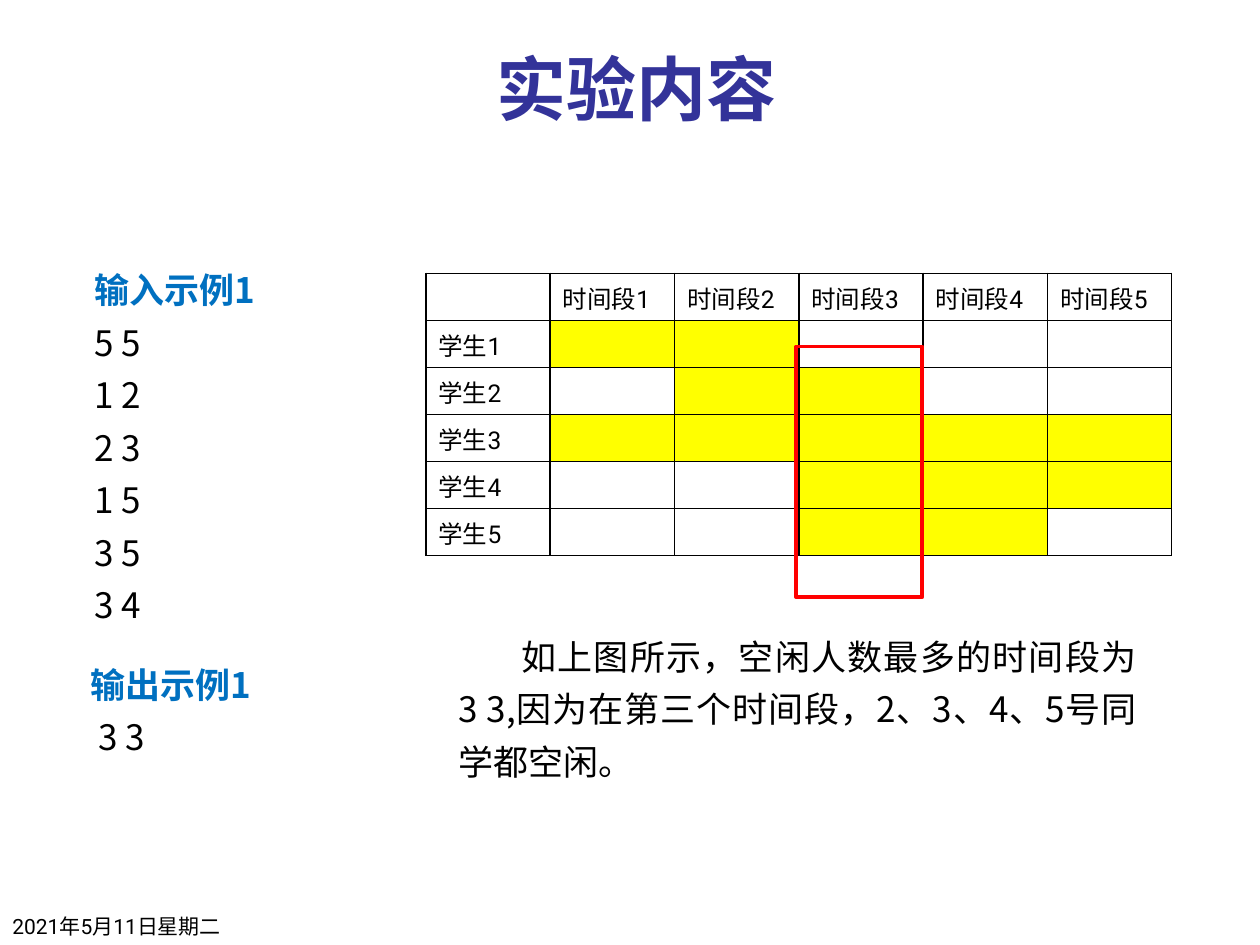
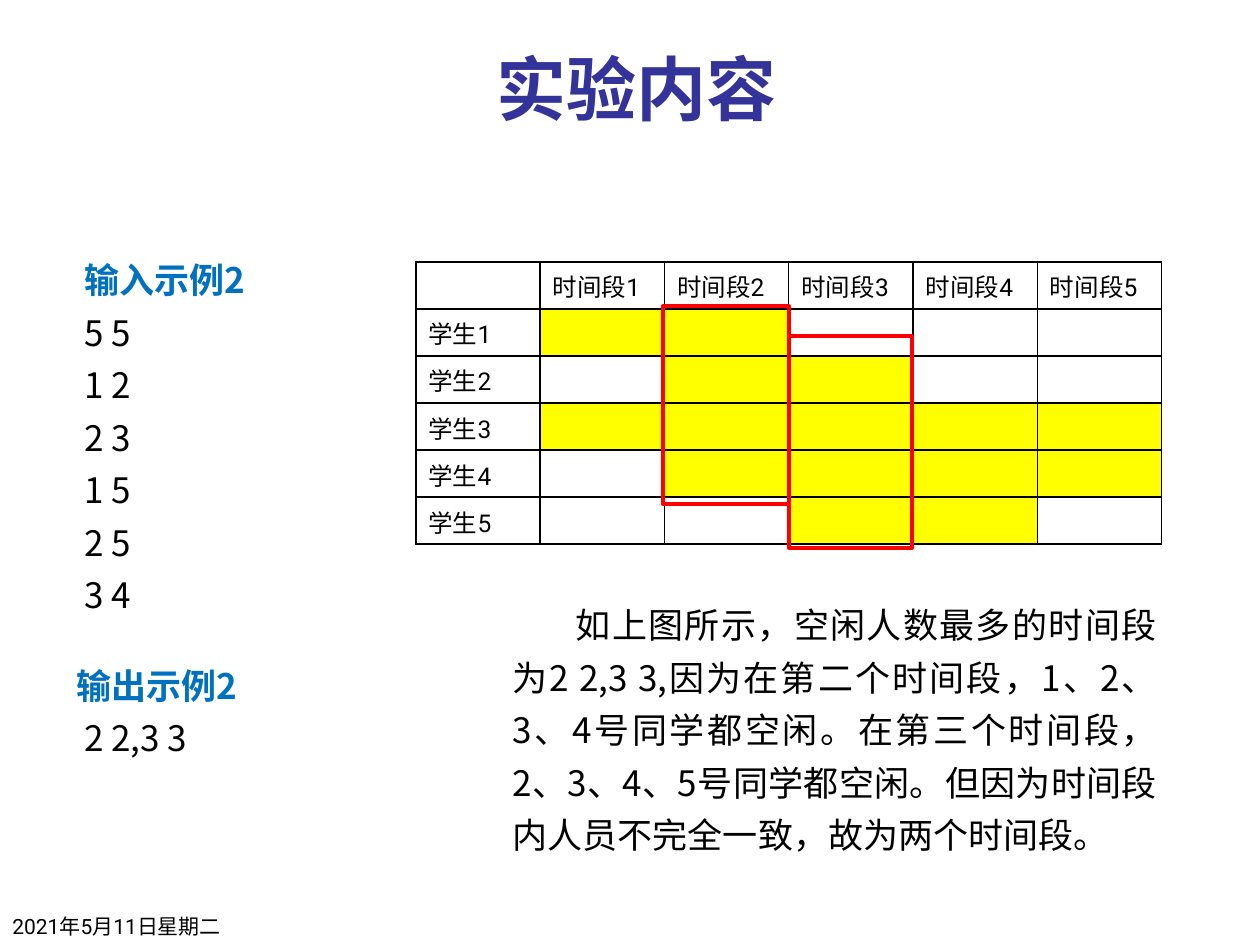
import pptx
import pptx.util
import pptx.dml.color
import pptx.enum.shapes
import pptx.enum.text
import pptx.oxml.ns
import lxml.etree

Inches, Pt = pptx.util.Inches, pptx.util.Pt
ALIGN = pptx.enum.text.PP_ALIGN
ANCHOR = pptx.enum.text.MSO_ANCHOR
qn = pptx.oxml.ns.qn

TITLE = "实验内容"
DATE = "2021年5月11日星期二"
SLOTS = 5
COLUMN, ROW = 5.92 / 6, 2.24 / 6
CJK_FONT, LATIN_FONT = "Noto Sans CJK SC", "Roboto"
BLACK, YELLOW, RED = "000000", "FFFF00", "FF0000"

TITLE_FORMAT = {"name": CJK_FONT, "size": Pt(40), "bold": True, "color": "333399"}
DATE_FORMAT = {"name": LATIN_FONT, "size": Pt(12), "color": BLACK}
CELL_FORMAT = {"name": LATIN_FONT, "size": Pt(14), "color": BLACK}
BODY_FORMAT = {"name": CJK_FONT, "size": Pt(20), "bold": False, "color": BLACK}
HEADING_FORMAT = BODY_FORMAT | {"bold": True, "color": "0070C0"}

# "free" holds the first and last free slot of each student.
# Every "at" is left, top, width, height in inches.
EXAMPLES = [
    {
        "number": 1,
        "free": [(1, 2), (2, 3), (1, 5), (3, 5), (3, 4)],
        "output": "3 3",
        "reason": "如上图所示，空闲人数最多的时间段为3 3,因为在第三个时间段，2、3、4、5号同学都空闲。",
        "input_at": (0.65, 2, 1.59, 3.01),
        "output_at": (0.62, 5.13, 1.61, 0.9),
        "table_at": (3.38, 2.17),
        "reason_at": (3.54, 4.91, 5.58, 1.32),
        "marks": [(6.32, 2.75, 1, 1.99)],
    },
    {
        "number": 2,
        "free": [(1, 2), (2, 3), (1, 5), (2, 5), (3, 4)],
        "output": "2 2,3 3",
        "reason": "如上图所示，空闲人数最多的时间段为2 2,3 3,因为在第二个时间段，1、2、3、4号同学都空闲。"
                  "在第三个时间段，2、3、4、5号同学都空闲。但因为时间段内人员不完全一致，故为两个时间段。",
        "input_at": (0.57, 1.92, 1.56, 3.01),
        "output_at": (0.51, 5.14, 1.62, 0.9),
        "table_at": (3.3, 2.08),
        "reason_at": (3.97, 4.66, 5.31, 2.17),
        "marks": [(6.26, 2.67, 0.98, 1.68), (5.26, 2.43, 1, 1.57)],
    },
]


def rgb(color):
    return pptx.dml.color.RGBColor.from_string(color)


def inches(values):
    return [Inches(value) for value in values]


def write(para, text, formats):
    span = para.add_run()
    span.text = text
    for name, value in formats.items():
        if name == "color":
            span.font.color.rgb = rgb(value)
        else:
            setattr(span.font, name, value)
    lxml.etree.SubElement(span.font._element, qn("a:ea"), typeface=CJK_FONT)


def add_text(page, at, lines):
    """Add a justified box; each line is its text, format and two indents (left, first line)."""
    frame = page.shapes.add_textbox(*inches(at)).text_frame
    frame.word_wrap = True
    for index, (text, formats, left, first) in enumerate(lines):
        para = frame.add_paragraph() if index else frame.paragraphs[0]
        para.alignment = ALIGN.JUSTIFY
        para.line_spacing = 1.25
        properties = para._p.get_or_add_pPr()
        properties.set("marL", str(Inches(left)))
        properties.set("indent", str(Inches(first)))
        write(para, text, formats)


def add_title(page):
    title = page.shapes.title
    title.left, title.top, title.width, title.height = inches((0.83, 0.25, 8.44, 0.83))
    title.text_frame.vertical_anchor = ANCHOR.BOTTOM
    para = title.text_frame.paragraphs[0]
    para.alignment = ALIGN.CENTER
    write(para, TITLE, TITLE_FORMAT)


def add_date(page):
    frame = page.shapes.add_textbox(*inches((0, 7, 2.08, 0.5))).text_frame
    frame.word_wrap = True
    frame.vertical_anchor = ANCHOR.BOTTOM
    write(frame.paragraphs[0], DATE, DATE_FORMAT)


def add_borders(cell):
    properties = cell._tc.get_or_add_tcPr()
    for side in ("a:lnL", "a:lnR", "a:lnT", "a:lnB"):
        line = lxml.etree.SubElement(properties, qn(side), w=str(Pt(1)))
        fill = lxml.etree.SubElement(line, qn("a:solidFill"))
        lxml.etree.SubElement(fill, qn("a:srgbClr"), val=BLACK)


def cell_text(row, column):
    if row == 0 and column:
        return f"时间段{column}"
    if row and column == 0:
        return f"学生{row}"
    return ""


def add_schedule(page, at, free):
    rows, columns = len(free) + 1, SLOTS + 1
    size = (columns * COLUMN, rows * ROW)
    table = page.shapes.add_table(rows, columns, *inches(at + size)).table
    table.first_row = table.horz_banding = False
    for row in range(rows):
        for column in range(columns):
            cell = table.cell(row, column)
            add_borders(cell)
            if row and free[row - 1][0] <= column <= free[row - 1][1]:
                cell.fill.solid()
                cell.fill.fore_color.rgb = rgb(YELLOW)
            else:
                cell.fill.background()
            para = cell.text_frame.paragraphs[0]
            text = cell_text(row, column)
            if text:
                write(para, text, CELL_FORMAT)
            else:
                lxml.etree.SubElement(para._p, qn("a:endParaRPr"), sz="1400")


def add_mark(page, at):
    mark = page.shapes.add_shape(pptx.enum.shapes.MSO_SHAPE.RECTANGLE, *inches(at))
    mark.shadow.inherit = False
    mark.fill.background()
    mark.line.color.rgb = rgb(RED)
    mark.line.width = Pt(2.25)


def add_example(deck, example):
    page = deck.slides.add_slide(deck.slide_layouts[5])
    number, free = example["number"], example["free"]
    add_title(page)
    add_date(page)
    pairs = [(len(free), SLOTS)] + free
    add_text(page, example["input_at"],
             [(f"输入示例{number}", HEADING_FORMAT, 0.38, -0.38)]
             + [(f"{first} {last}", BODY_FORMAT, 0.38, -0.38) for first, last in pairs])
    add_text(page, example["output_at"],
             [(f"输出示例{number}", HEADING_FORMAT, 0.38, -0.38),
              (example["output"], BODY_FORMAT, 0.06, 0)])
    add_schedule(page, example["table_at"], free)
    add_text(page, example["reason_at"], [(example["reason"], BODY_FORMAT, 0, 0.5)])
    for mark in example["marks"]:
        add_mark(page, mark)


def main():
    deck = pptx.Presentation()
    deck.slide_width, deck.slide_height = inches((10, 7.5))
    for example in EXAMPLES:
        add_example(deck, example)
    deck.save("out.pptx")


if __name__ == "__main__":
    main()
